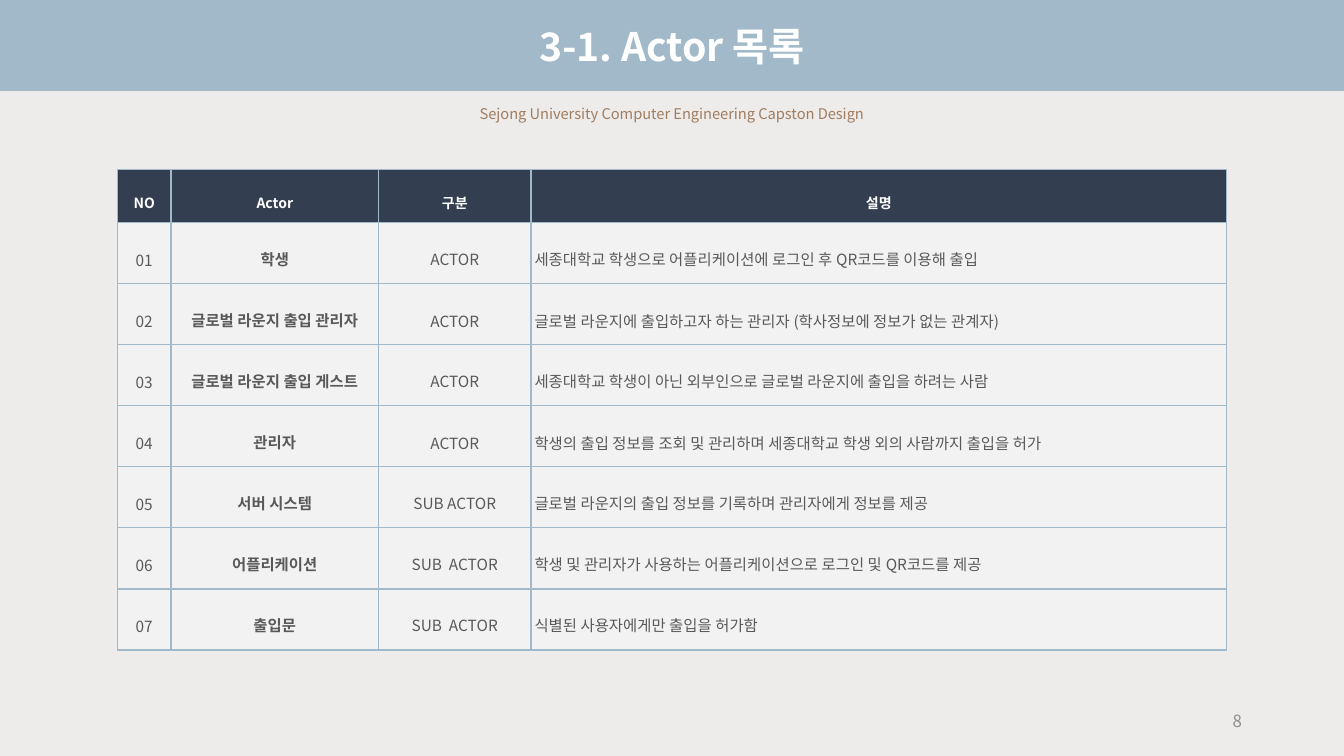
import pptx
import pptx.dml.color
import pptx.enum.text
import pptx.oxml
import pptx.oxml.ns
import pptx.util
from lxml import etree

Cm = pptx.util.Cm
Pt = pptx.util.Pt
ALIGN = pptx.enum.text.PP_ALIGN
ANCHOR = pptx.enum.text.MSO_ANCHOR
AUTO_SIZE = pptx.enum.text.MSO_AUTO_SIZE

FONT = "Noto Sans CJK KR"
BLUE = "A2B9C9"
PAPER = "EDECEA"
NAVY = "333F50"
LIGHT = "F2F2F2"
WHITE = "FFFFFF"
BROWN = "A17D60"
DARK_GRAY = "595959"
GRAY = "8C8C8C"

HEADINGS = ["NO", "Actor", "구분", "설명"]
COLUMN_WIDTHS = [1.35, 5.23, 3.84, 17.53]
HEADING_HEIGHT = 1.32
ROW_HEIGHT = 1.54
ACTORS = [
    ("학생", "ACTOR", "세종대학교 학생으로 어플리케이션에 로그인 후 QR코드를 이용해 출입", 1.5),
    ("글로벌 라운지 출입 관리자", "ACTOR", "글로벌 라운지에 출입하고자 하는 관리자 (학사정보에 정보가 없는 관계자)", 1.6),
    ("글로벌 라운지 출입 게스트", "ACTOR", "세종대학교 학생이 아닌 외부인으로 글로벌 라운지에 출입을 하려는 사람", 1.5),
    ("관리자", "ACTOR", "학생의 출입 정보를 조회 및 관리하며 세종대학교 학생 외의 사람까지 출입을 허가", 1.6),
    ("서버 시스템", "SUB ACTOR", "글로벌 라운지의 출입 정보를 기록하며 관리자에게 정보를 제공", 1.5),
    ("어플리케이션", "SUB  ACTOR", "학생 및 관리자가 사용하는 어플리케이션으로 로그인 및 QR코드를 제공", 1.5),
    ("출입문", "SUB  ACTOR", "식별된 사용자에게만 출입을 허가함", 1.5),
]


def color(value):
    return pptx.dml.color.RGBColor.from_string(value)


class SlideBuilder:
    """Holds the style and the current slide, and adds each kind of element."""

    def __init__(self, presentation, font):
        self.font = font
        self.slide = presentation.slides.add_slide(presentation.slide_layouts[5])

    def background(self, lower, upper, split):
        fill = self.slide.background.fill
        fill.gradient()
        fill.gradient_angle = 90
        for stop, value in zip(fill.gradient_stops, (lower, upper)):
            stop.position = split
            stop.color.rgb = color(value)

    def add_text(self, paragraph, text, size, value, bold=False, align=ALIGN.CENTER, spacing=1.0):
        paragraph.alignment = align
        paragraph.line_spacing = spacing
        run = paragraph.add_run()
        run.text = text
        run.font.name = self.font
        run.font.size = Pt(size)
        run.font.bold = bold
        run.font.color.rgb = color(value)
        properties = run._r.get_or_add_rPr()
        east_asian = etree.SubElement(properties, pptx.oxml.ns.qn("a:ea"))
        east_asian.set("typeface", self.font)

    def place(self, shape, left, top, width, height):
        shape.left, shape.top = Cm(left), Cm(top)
        shape.width, shape.height = Cm(width), Cm(height)

    def title(self, text, subtitle):
        shape = self.slide.shapes.title
        self.place(shape, 0, 0.43, 33.87, 2.54)
        frame = shape.text_frame
        frame.word_wrap = True
        frame.auto_size = AUTO_SIZE.SHAPE_TO_FIT_TEXT
        frame.vertical_anchor = ANCHOR.TOP
        self.add_text(frame.paragraphs[0], text, 28, WHITE, bold=True)
        self.add_text(frame.add_paragraph(), subtitle, 10.5, BROWN, spacing=3.0)

    def table(self, left, top, widths, heights):
        frame = self.slide.shapes.add_table(
            len(heights), len(widths), Cm(left), Cm(top), Cm(sum(widths)), Cm(sum(heights)))
        table = frame.table
        table.first_row = False
        table.horz_banding = False
        for column, width in zip(table.columns, widths):
            column.width = Cm(width)
        for row, height in zip(table.rows, heights):
            row.height = Cm(height)
        return table

    def cell(self, cell, fill, text, size, value, indent=0, **style):
        cell.margin_left = Cm(indent)
        cell.margin_right = cell.margin_top = cell.margin_bottom = 0
        cell.vertical_anchor = ANCHOR.MIDDLE
        properties = cell._tc.get_or_add_tcPr()
        for side in ("lnL", "lnR", "lnT", "lnB"):
            properties.append(pptx.oxml.parse_xml(
                f'<a:{side} {pptx.oxml.ns.nsdecls("a")} w="{Pt(1)}"><a:solidFill>'
                f'<a:srgbClr val="{BLUE}"/></a:solidFill></a:{side}>'))
        cell.fill.solid()
        cell.fill.fore_color.rgb = color(fill)
        self.add_text(cell.text_frame.paragraphs[0], text, size, value, **style)

    def page_number(self, text):
        shape = self.slide.shapes.add_textbox(Cm(23.93), Cm(17.65), Cm(7.62), Cm(1.02))
        frame = shape.text_frame
        frame.word_wrap = True
        frame.vertical_anchor = ANCHOR.MIDDLE
        self.add_text(frame.paragraphs[0], text, 12, GRAY, align=ALIGN.RIGHT)


def main():
    presentation = pptx.Presentation()
    presentation.slide_width = Cm(33.87)
    presentation.slide_height = Cm(19.05)

    builder = SlideBuilder(presentation, FONT)
    builder.background(PAPER, BLUE, 0.88)
    builder.title("3-1. Actor 목록", "Sejong University Computer Engineering Capston Design")

    heights = [HEADING_HEIGHT] + [ROW_HEIGHT] * len(ACTORS)
    table = builder.table(2.96, 4.28, COLUMN_WIDTHS, heights)
    for column, heading in enumerate(HEADINGS):
        builder.cell(table.cell(0, column), NAVY, heading, 10, WHITE, bold=True, spacing=1.6)
    for row, (actor, role, description, spacing) in enumerate(ACTORS, start=1):
        columns = [
            (f"{row:02}", {"spacing": 1.6}),
            (actor, {"spacing": 1.5, "bold": True}),
            (role, {"spacing": spacing}),
            (description, {"spacing": spacing, "align": ALIGN.LEFT, "indent": 0.09}),
        ]
        for column, (text, style) in enumerate(columns):
            builder.cell(table.cell(row, column), LIGHT, text, 11, DARK_GRAY, **style)

    builder.page_number("8")
    presentation.save("out.pptx")


if __name__ == "__main__":
    main()
